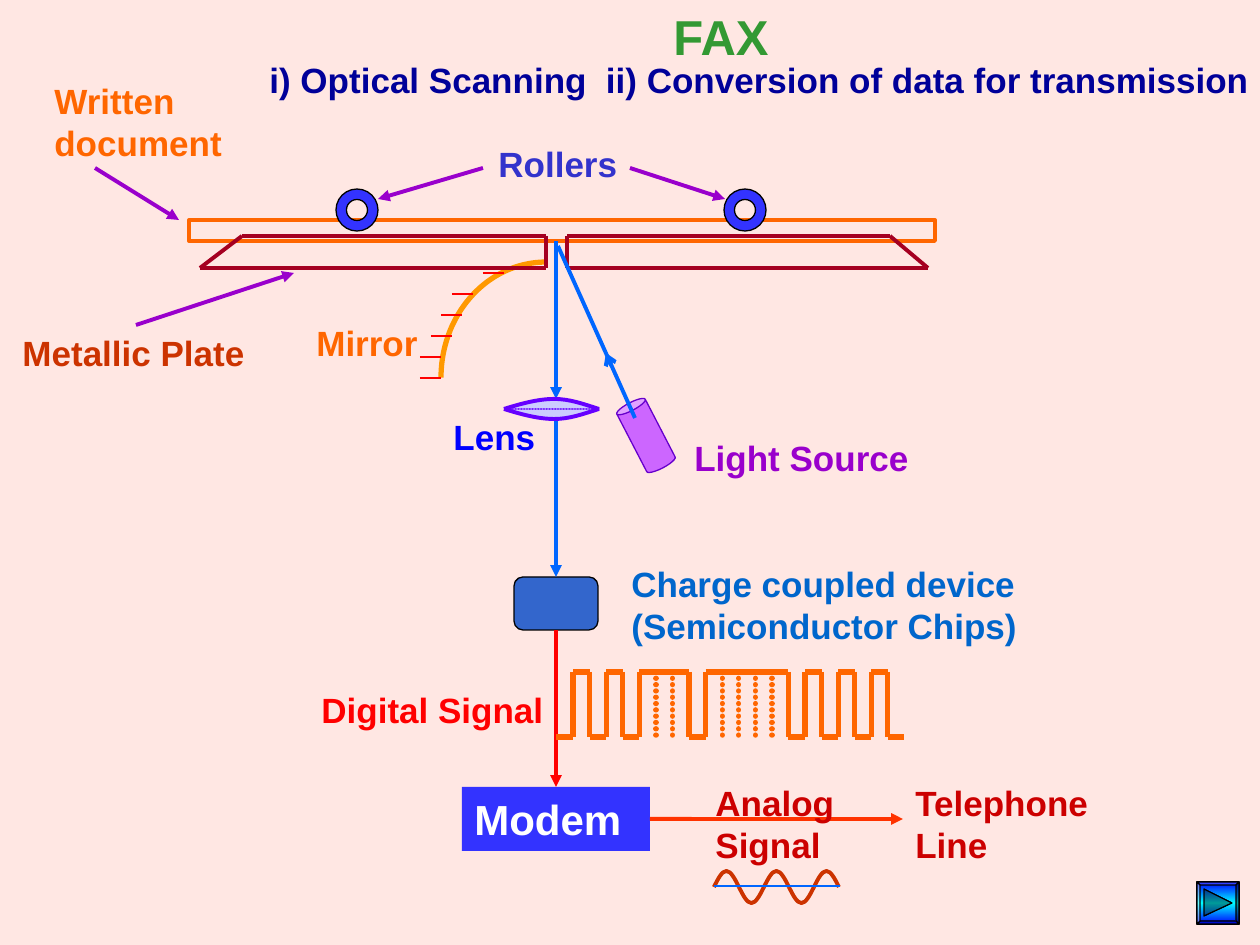
from copy import deepcopy
from itertools import pairwise

from lxml.etree import SubElement
from pptx import Presentation
from pptx.dml.color import RGBColor
from pptx.enum.shapes import MSO_CONNECTOR, MSO_SHAPE
from pptx.enum.text import MSO_ANCHOR, MSO_AUTO_SIZE, PP_ALIGN
from pptx.oxml.ns import qn
from pptx.util import Pt

SCALE = 914400 / 126


def px(val):
    return round(val * SCALE)


def color(code):
    return RGBColor.from_string(code)


def write(frame, text, hue="000000", size=20, wrap=False):
    """Put one bold paragraph in a text frame."""
    frame.word_wrap = wrap
    frame.auto_size = MSO_AUTO_SIZE.SHAPE_TO_FIT_TEXT
    frame.vertical_anchor = MSO_ANCHOR.TOP
    par = frame.paragraphs[0]
    par.alignment = PP_ALIGN.LEFT
    run = par.add_run()
    run.text = text
    run.font.name = "Arial"
    run.font.size = Pt(size)
    run.font.bold = True
    run.font.color.rgb = color(hue)


class Board:
    def __init__(self, deck, back):
        self.slide = deck.slides.add_slide(deck.slide_layouts[6])
        self.items = self.slide.shapes
        fill = self.slide.background.fill
        fill.solid()
        fill.fore_color.rgb = color(back)

    def style(self, item, fill, line, width):
        item.shadow.inherit = False
        if fill:
            item.fill.solid()
            item.fill.fore_color.rgb = color(fill)
        else:
            item.fill.background()
        if line:
            item.line.color.rgb = color(line)
            item.line.width = Pt(width)
        else:
            item.line.fill.background()
        return item

    def shape(self, kind, x, y, w, h, fill=None, line=None, width=0.75):
        item = self.items.add_shape(kind, px(x), px(y), px(w), px(h))
        return self.style(item, fill, line, width)

    def outline(self, rings, close):
        rings = [[(px(x), px(y)) for x, y in ring] for ring in rings]
        maker = self.items.build_freeform(*rings[0][0], scale=1.0)
        for i, ring in enumerate(rings):
            if i:
                maker.move_to(*ring[0])
            maker.add_line_segments(ring[1:], close=close)
        return maker.convert_to_shape()

    def curve(self, spots, line, width, fill=None):
        """Draw a Bezier curve: a start, then three points per piece."""
        item = self.outline([spots], False)
        steps = list(item._element.iter(qn("a:lnTo")))
        for i in range(0, len(steps), 3):
            bend = SubElement(steps[i].getparent(), qn("a:cubicBezTo"))
            for step in steps[i:i + 3]:
                bend.append(step[0])
                step.getparent().remove(step)
        self.style(item, fill, line, width)

    def facets(self, rings, shades, line):
        """Draw closed rings in one shape, each with its own shade."""
        item = self.outline(rings, True)
        first = next(item._element.iter(qn("a:path")))
        parts = list(first)
        for part in parts:
            first.remove(part)
        blank = deepcopy(first)
        shades, target = iter(shades), first
        for part in parts:
            if part.tag == qn("a:moveTo"):
                if len(target):
                    target.addnext(deepcopy(blank))
                    target = target.getnext()
                target.set("fill", next(shades))
            target.append(part)
        return self.style(item, None, line, 0.75)

    def line(self, x1, y1, x2, y2, hue, width=2.25, head=None, dots=False,
             start=None, end=None):
        item = self.items.add_connector(
            MSO_CONNECTOR.STRAIGHT, px(x1), px(y1), px(x2), px(y2))
        item.line.color.rgb = color(hue)
        item.line.width = Pt(width)
        pen = item.line._get_or_add_ln()
        if dots:
            pen.set("cap", "rnd")
            dash = SubElement(pen, qn("a:custDash"))
            SubElement(dash, qn("a:ds"), d="100000", sp="20000")
        if head:
            SubElement(pen, qn("a:tailEnd"), type=head)
        SubElement(item._element.spPr, qn("a:effectLst"))
        if start:
            item.begin_connect(*start)
        if end:
            item.end_connect(*end)

    def label(self, x, y, w, h, text, **form):
        box = self.items.add_textbox(px(x), px(y), px(w), px(h))
        write(box.text_frame, text, **form)


def main():
    deck = Presentation()
    deck.slide_width, deck.slide_height = px(1260), px(945)
    board = Board(deck, "FFE7E3")

    # Document and rollers
    board.shape(MSO_SHAPE.RECTANGLE, 189, 220, 746, 21, line="FF6600", width=2.25)
    for x in (336, 724):
        board.shape(MSO_SHAPE.DONUT, x, 189, 42, 42, "3333FF", "000000")

    # Charge coupled device, modem and the path between them
    chip = board.shape(MSO_SHAPE.ROUNDED_RECTANGLE, 514, 577, 84, 53,
                       "3366CC", "000000")
    modem = board.shape(MSO_SHAPE.RECTANGLE, 462, 787, 188, 64, "3333FF")
    write(modem.text_frame, "Modem", hue="FFFFFF", size=24, wrap=True)
    board.line(556, 241, 556, 399, "0066FF", head="triangle")
    board.line(556, 420, 556, 577, "0066FF", head="triangle", end=(chip, 0))
    board.line(556, 630, 556, 787, "FF0000", head="triangle",
               start=(chip, 2), end=(modem, 0))
    board.line(650, 819, 903, 819, "FF3300", head="triangle", start=(modem, 3))

    # Light source
    can = board.shape(MSO_SHAPE.CAN, 630, 399, 32, 73, "CC66FF", "6600CC")
    can.rotation = 332.6

    # Mirror: a quarter arc, with angles in 60000ths over 100000
    arc = board.shape(MSO_SHAPE.ARC, 441, 262, 210, 231, line="FF9900", width=3)
    arc.adjustments[0], arc.adjustments[1] = 108, 162
    for i, x in enumerate((483, 452, 441, 431, 420, 420)):
        y = 273 + 21 * i
        board.line(x, y, x + 21, y, "FF0000", 1.5)

    # Pointers
    for ends in ((95, 168, 179, 220), (136, 325, 294, 273),
                 (630, 168, 725, 199), (483, 168, 378, 199)):
        board.line(*ends, "9900CC", head="triangle")

    # Metallic plate
    for inner, top, low in ((546, 242, 200), (567, 890, 928)):
        rim = [(low, 268), (top, 236), (inner, 236), (inner, 268), (low, 268)]
        for begin, end in pairwise(rim):
            board.line(*begin, *end, "A50021")

    # Lens
    for rise in (10, -10):
        mid, far = 409 + rise / 2, 409 + rise
        board.curve([(599, 409), (583, mid), (570, far), (554, far),
                     (538, far), (520, mid), (504, 409)],
                    "6600FF", 2.25, "CCCCFF")
    board.line(599, 409, 504, 409, "6600FF", 0.75, dots=True)

    # Light ray
    board.line(635, 418, 558, 246, "0066FF")
    board.line(609, 360, 606, 353, "0066FF", head="arrow")

    # Digital pulses
    left, step, high, low = 556.5, 16.57, 672, 737
    edges = [*range(6), 8, 9, *range(14, 22)]
    for i, (a, b) in enumerate(pairwise(edges)):
        y = high if i % 2 else low
        board.line(left + a * step, y, left + b * step, y, "FF6600", 3)
    for i in range(1, 21):
        x = left + i * step
        board.line(x, high, x, low, "FF6600", 3, dots=i not in edges)

    # Analog wave
    for i in range(5):
        x, rise = 714 + 25 * i, 16 * (-1) ** i
        mid, far = 887 - rise / 2, 887 - rise
        board.curve([(x, 887), (x + 4, mid), (x + 8, far), (x + 12.5, far),
                     (x + 17, far), (x + 21, mid), (x + 25, 887)],
                    "CC3300", 2.25)
    board.line(714, 886, 840, 886, "0066FF", 1.5)

    # Headings and labels
    board.label(661, 0, 122, 72, "FAX", hue="339933", size=28)
    for x, y, w, text, hue in (
        (257, 52, 1005,
         "i) Optical Scanning  ii) Conversion of data for transmission", "000099"),
        (10, 325, 248, "Metallic Plate", "CC3300"),
        (304, 315, 128, "Mirror", "FF6600"),
        (441, 409, 108, "Lens", "0000FF"),
        (682, 430, 242, "Light Source", "9900CC"),
        (309, 682, 248, "Digital Signal", "FF0000"),
        (486, 136, 145, "Rollers", "3333CC"),
    ):
        board.label(x, y, w, 55, text, hue=hue)
    for x, y, w, text, hue in (
        (42, 73, 199, "Written document", "FF6600"),
        (619, 556, 415, "Charge coupled device (Semiconductor Chips)", "0066CC"),
        (703, 775, 147, "Analog Signal", "CC0000"),
        (903, 775, 210, "Telephone Line", "CC0000"),
    ):
        board.label(x, y, w, 97, text, hue=hue, wrap=True)

    # Next button: face, four bevels and the triangle
    outer = [(1197, 882), (1239, 882), (1239, 924), (1197, 924)]
    inner = [(1200, 885), (1236, 885), (1236, 921), (1200, 921)]
    rings = [outer]
    for i in range(4):
        j = (i + 1) % 4
        rings.append([outer[i], outer[j], inner[j], inner[i]])
    rings.append([(1204, 889), (1232, 903), (1204, 916)])
    key = board.facets(rings, ("norm", "lightenLess", "darken", "darkenLess",
                               "lighten", "darken"), "000000")
    key.fill.gradient()
    key.fill.gradient_angle = 90
    first = key._element.spPr.find(".//" + qn("a:gs"))
    first.addnext(deepcopy(first))
    for stop, spot, hue in zip(key.fill.gradient_stops, (0, 0.5, 1),
                               ("0000FF", "00FFFF", "0000FF")):
        stop.position = spot
        stop.color.rgb = color(hue)

    deck.save("out.pptx")


if __name__ == "__main__":
    main()
